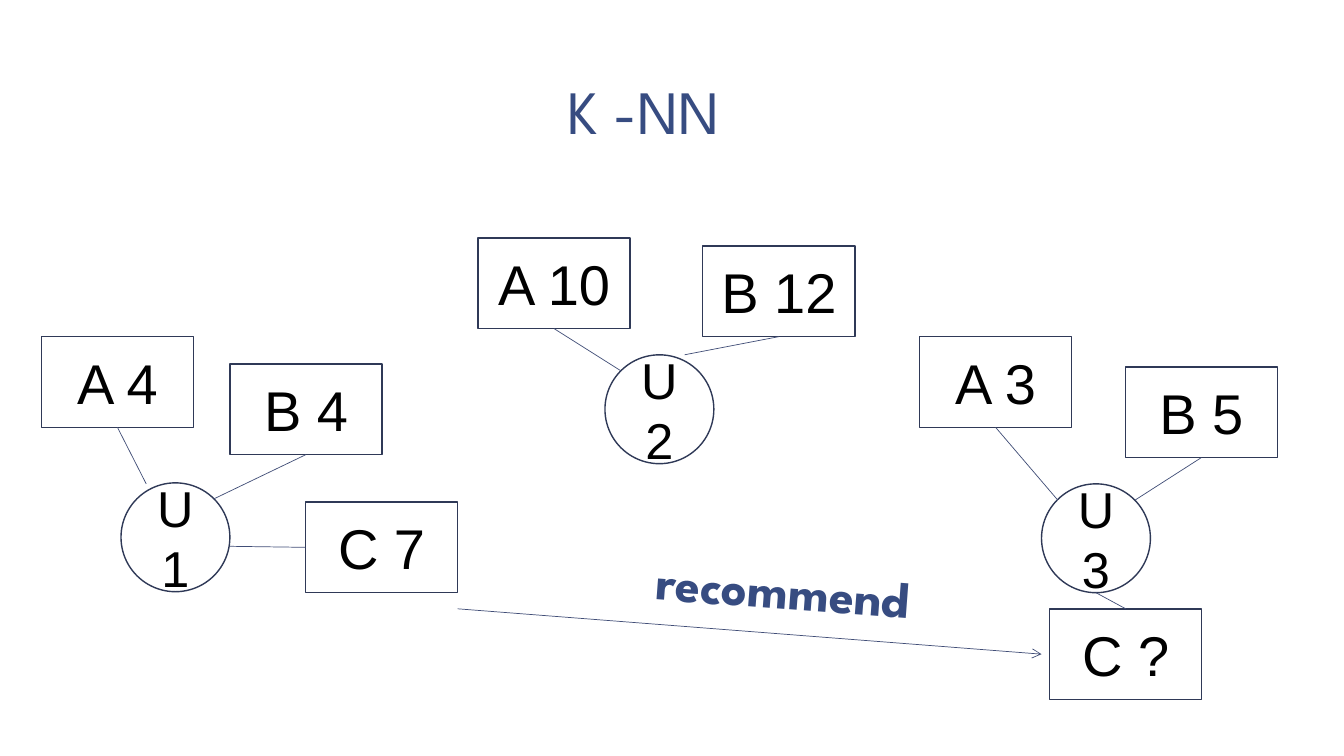
from lxml import etree
from pptx import Presentation
from pptx import util as u
from pptx.dml.color import RGBColor
from pptx.enum import shapes as sh, text as tx
from pptx.oxml import ns

PX = 9144  # 100 px to the inch
NAVY, EDGE, LINK = "374C81", "2F3957", "414E77"


def put(shape, words, size, font="Arial", color="000000", bold=False,
        align=tx.PP_ALIGN.LEFT, anchor=tx.MSO_ANCHOR.TOP, pad=(10, 5), lead=None):
    frame = shape.text_frame
    frame.word_wrap = True
    frame.auto_size = tx.MSO_AUTO_SIZE.NONE
    frame.vertical_anchor = anchor
    frame.margin_left = frame.margin_right = pad[0] * PX
    frame.margin_top = frame.margin_bottom = pad[1] * PX
    para = frame.paragraphs[0]
    para.alignment = align
    para.line_spacing = lead
    run = para.add_run()
    run.text = words
    run.font.name, run.font.size, run.font.bold = font, u.Pt(size), bold
    run.font.color.rgb = RGBColor.from_string(color)


def join(x1, y1, x2, y2):
    line = slide.shapes.add_connector(
        sh.MSO_CONNECTOR.STRAIGHT, x1 * PX, y1 * PX, x2 * PX, y2 * PX)
    line.line.color.rgb = RGBColor.from_string(LINK)
    line.line.width = u.Pt(0.5)
    etree.SubElement(line.element.spPr, ns.qn("a:effectLst"))
    return line


deck = Presentation()
deck.slide_width, deck.slide_height = 1333 * PX, 750 * PX
slide = deck.slides.add_slide(deck.slide_layouts[5])

# Title
title = slide.shapes.title
title.left, title.top, title.width, title.height = 550 * PX, 0, 258 * PX, 153 * PX
put(title, "K -NN", 44, font="League Spartan", color=NAVY,
    anchor=tx.MSO_ANCHOR.BOTTOM, pad=(13, 7), lead=0.85)

# Users and rated items: name, left, top
OVAL, RECT = sh.MSO_SHAPE.OVAL, sh.MSO_SHAPE.RECTANGLE
users = [("U1", 120, 479), ("U2", 600, 352), ("U3", 1033, 480)]
items = [("A 4", 41, 334), ("B 4", 228, 361), ("A 10", 474, 236), ("B 12", 697, 244),
         ("A 3", 912, 334), ("B 5", 1116, 364), ("C 7", 303, 498), ("C ?", 1041, 604)]
nodes = {}
for kind, wide, high, size, group in [(OVAL, 108, 108, 36, users),
                                      (RECT, 151, 90, 40, items)]:
    for name, x, y in group:
        node = slide.shapes.add_shape(kind, x * PX, y * PX, wide * PX, high * PX)
        node.shadow.inherit = False
        node.fill.background()
        node.line.color.rgb = RGBColor.from_string(EDGE)
        node.line.width = u.Pt(1)
        put(node, name, size, align=tx.PP_ALIGN.CENTER, anchor=tx.MSO_ANCHOR.MIDDLE)
        nodes[name] = node

# Recommendation arrow and its label
arrow = join(454, 604, 1033, 649)
etree.SubElement(arrow.line._get_or_add_ln(), ns.qn("a:tailEnd"), type="arrow")
label = slide.shapes.add_textbox(641 * PX, 552 * PX, 325 * PX, 70 * PX)
label.rotation = 4.4
put(label, "recommend", 36, font="League Spartan", color=NAVY, bold=True)

# Links from an item's side to its user: item, side, end on the circle
links = [("A 4", 2, 145, 480), ("B 4", 2, 212, 495), ("C 7", 1, 228, 542),
         ("A 10", 2, 616, 368), ("B 12", 2, 679, 352), ("A 3", 2, 1049, 496),
         ("B 5", 2, 1126, 496), ("C ?", 0, 1087, 588)]
for name, side, x, y in links:
    join(x, y, x, y).begin_connect(nodes[name], side)

deck.save("out.pptx")
